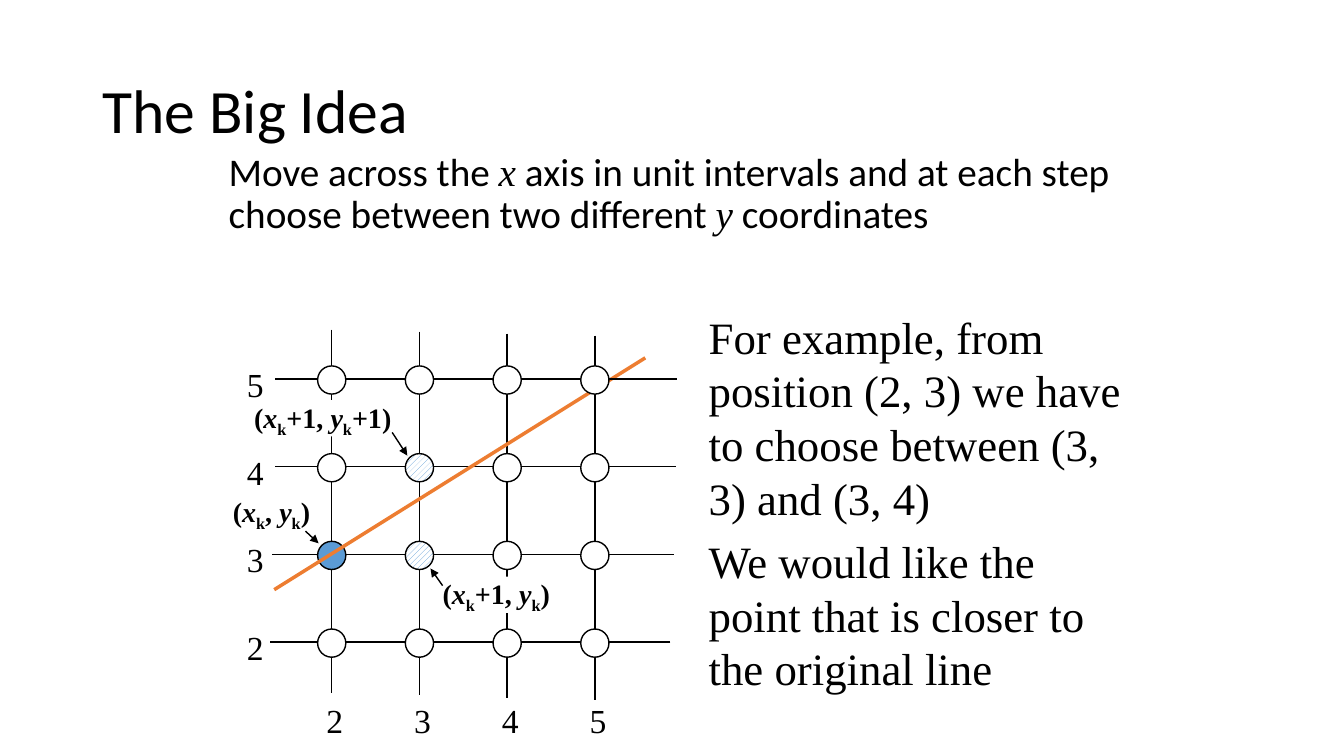
from lxml.etree import SubElement
from pptx import Presentation
from pptx.dml.color import RGBColor
from pptx.enum.dml import MSO_PATTERN as Pattern
from pptx.enum.shapes import MSO_CONNECTOR as Link, MSO_SHAPE as Shape
from pptx.enum.text import MSO_ANCHOR as Anchor, PP_ALIGN as Align
from pptx.oxml.ns import qn
from pptx.util import Inches, Pt


def color(code):
    """Turn a hex string into a colour."""
    return RGBColor.from_string(code)


class Board:
    """Hold the style and the current slide."""

    sans, serif = "Calibri", "Times New Roman"
    ink, paper, blue, orange = "000000", "FFFFFF", "5B9BD5", "ED7D31"

    def __init__(self, slide):
        """Keep the slide's shapes."""
        self.shapes = slide.shapes

    def fill_in(self, para, text, size, font, bold=None):
        """Fill a paragraph, with x and y in italics and k as a subscript."""
        para.alignment = Align.LEFT
        for part in text.split("|"):
            run = para.add_run()
            run.text = part
            face = run.font
            face.size, face.bold = Pt(size), bold
            face.color.rgb = color(self.ink)
            face.italic = part in ("x", "y")
            face.name = self.serif if face.italic else font
            if part == "k":
                run._r.get_or_add_rPr().set("baseline", "-25000")

    def text(self, box, paras, size, font, wrap=True, anchor=Anchor.TOP,
             lead=None, gap=None):
        """Add a text box."""
        frame = self.shapes.add_textbox(*map(Inches, box)).text_frame
        frame.word_wrap, frame.vertical_anchor = wrap, anchor
        for i, text in enumerate(paras):
            para = frame.add_paragraph() if i else frame.paragraphs[0]
            self.fill_in(para, text, size, font)
            if lead:
                para.line_spacing = lead
            if gap:
                para.space_before = Pt(gap)

    def shape(self, kind, box, fill):
        """Add a filled shape without a shadow."""
        item = self.shapes.add_shape(kind, *map(Inches, box))
        item.shadow.inherit = False
        item.fill.solid()
        item.fill.fore_color.rgb = color(fill)
        return item

    def label(self, box, text):
        """Add a point label on a white ground."""
        item = self.shape(Shape.RECTANGLE, box, self.paper)
        item.line.fill.background()
        frame = item.text_frame
        frame.margin_left = frame.margin_right = frame.margin_top = 0
        frame.margin_bottom = Inches(0.02)
        frame.word_wrap, frame.vertical_anchor = False, Anchor.TOP
        self.fill_in(frame.paragraphs[0], text, 20, self.serif, True)

    def dot(self, left, top, fill, hatch=False):
        """Add a grid point, plain or hatched."""
        item = self.shape(Shape.OVAL, (left, top, 0.28, 0.28), fill)
        item.line.color.rgb, item.line.width = color(self.ink), Pt(1)
        if hatch:
            item.fill.patterned()
            item.fill.pattern = Pattern.WIDE_UPWARD_DIAGONAL
            item.fill.fore_color.rgb = color(self.blue)
            item.fill.back_color.rgb = color(self.paper)

    def line(self, ends, tint=ink, width=1, arrow=False):
        """Add a straight line, with an arrowhead if asked."""
        item = self.shapes.add_connector(Link.STRAIGHT, *map(Inches, ends))
        item.line.color.rgb, item.line.width = color(tint), Pt(width)
        props = item._element.spPr
        if arrow:
            SubElement(props.find(qn("a:ln")), qn("a:tailEnd"), type="triangle")
        SubElement(props, qn("a:effectLst"))


def main():
    """Build the slide and save it."""
    deck = Presentation()
    deck.slide_width, deck.slide_height = Inches(13.33), Inches(7.5)
    board = Board(deck.slides.add_slide(deck.slide_layouts[6]))

    board.text((0.92, 0.4, 11.5, 1.45), ["The Big Idea"], 44, board.sans,
               anchor=Anchor.MIDDLE, lead=0.9)
    board.text((2.17, 1.46, 9, 1.69),
               ["Move across the |x| axis in unit intervals and at each step "
                "choose between two different |y| coordinates"],
               28, board.sans, lead=0.9, gap=10)

    step = 0.87
    rows = [(2.73, 6.71), (2.73, 6.7), (2.7, 6.68), (2.68, 6.65)]
    hatched, start = [(1, 1), (1, 2)], (0, 2)

    def draw_row(row):
        """Draw one grid row with its points."""
        left, right = rows[row]
        y = 3.76 + step * row
        board.line((right, y, left, y))
        for col in range(4):
            fill = board.blue if (col, row) == start else board.paper
            board.dot(3.15 + step * col, 3.63 + step * row, fill,
                      (col, row) in hatched)

    for col in range(4):
        x, drop = 3.29 + step * col, 0.02 * col
        board.line((x, 3.27 + drop, x, 6.88 + drop))
    for row in (1, 2, 3):
        draw_row(row)
    board.line((2.72, 5.85, 6.4, 3.55), board.orange, 2.5)
    draw_row(0)

    for i in range(4):
        for left, top, mark in ((3.14 + step * i, 6.89, 2 + i),
                                (2.35, 3.56 + step * i, 5 - i)):
            board.text((left, top, 0.37, 0.5), [str(mark)], 24, board.serif,
                       wrap=False)

    board.text((6.93, 3.02, 4.41, 4.48),
               ["For example, from position (2, 3) we have to choose between "
                "(3, 3) and (3, 4)",
                "We would like the point that is closer to the original line"],
               32, board.serif, gap=6.4)

    board.label((2.31, 4.91, 0.8, 0.36), "(|x|k|, |y|k|)")
    board.label((4.39, 5.72, 1.1, 0.36), "(|x|k|+1, |y|k|)")
    board.label((2.52, 3.97, 1.4, 0.36), "(|x|k|+1, |y|k|+1)")
    for ends in ((3.89, 4.29, 4.04, 4.52), (4.39, 5.81, 4.27, 5.64),
                 (3.03, 5.27, 3.16, 5.39)):
        board.line(ends, arrow=True)

    deck.save("out.pptx")


if __name__ == "__main__":
    main()
